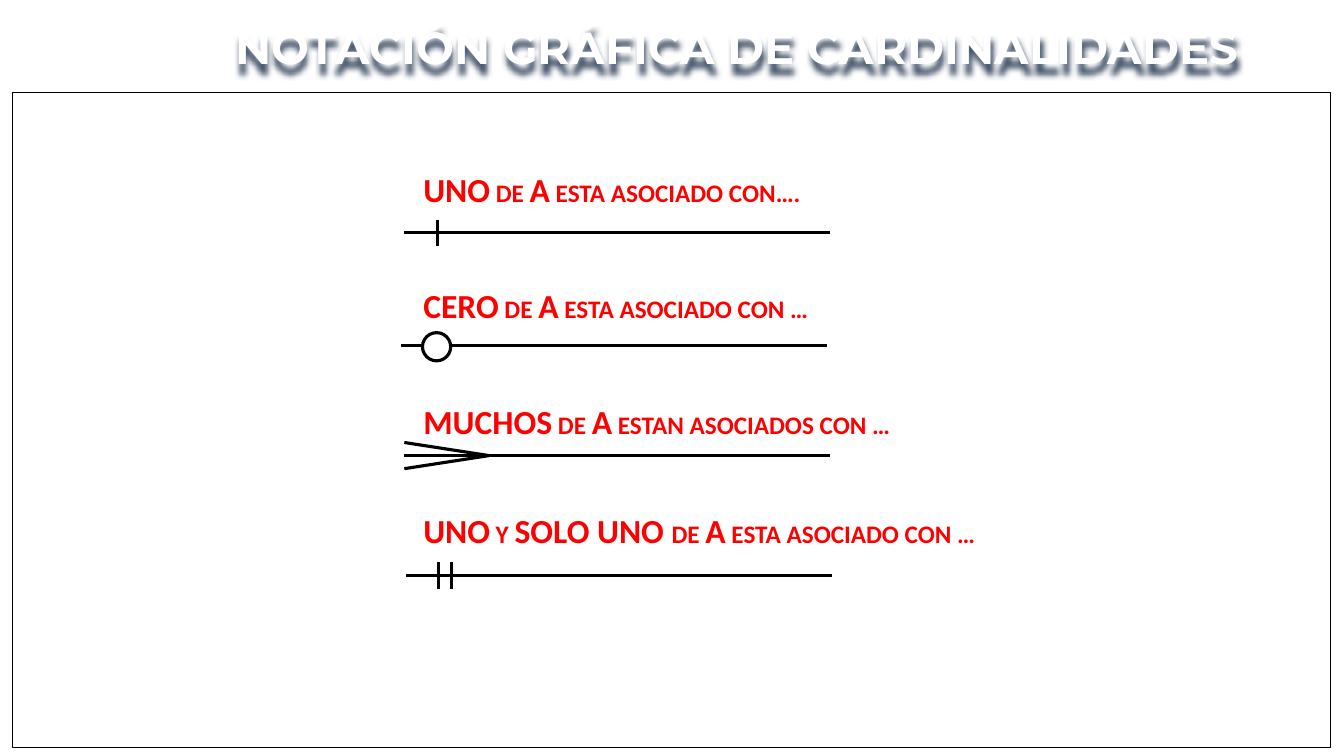
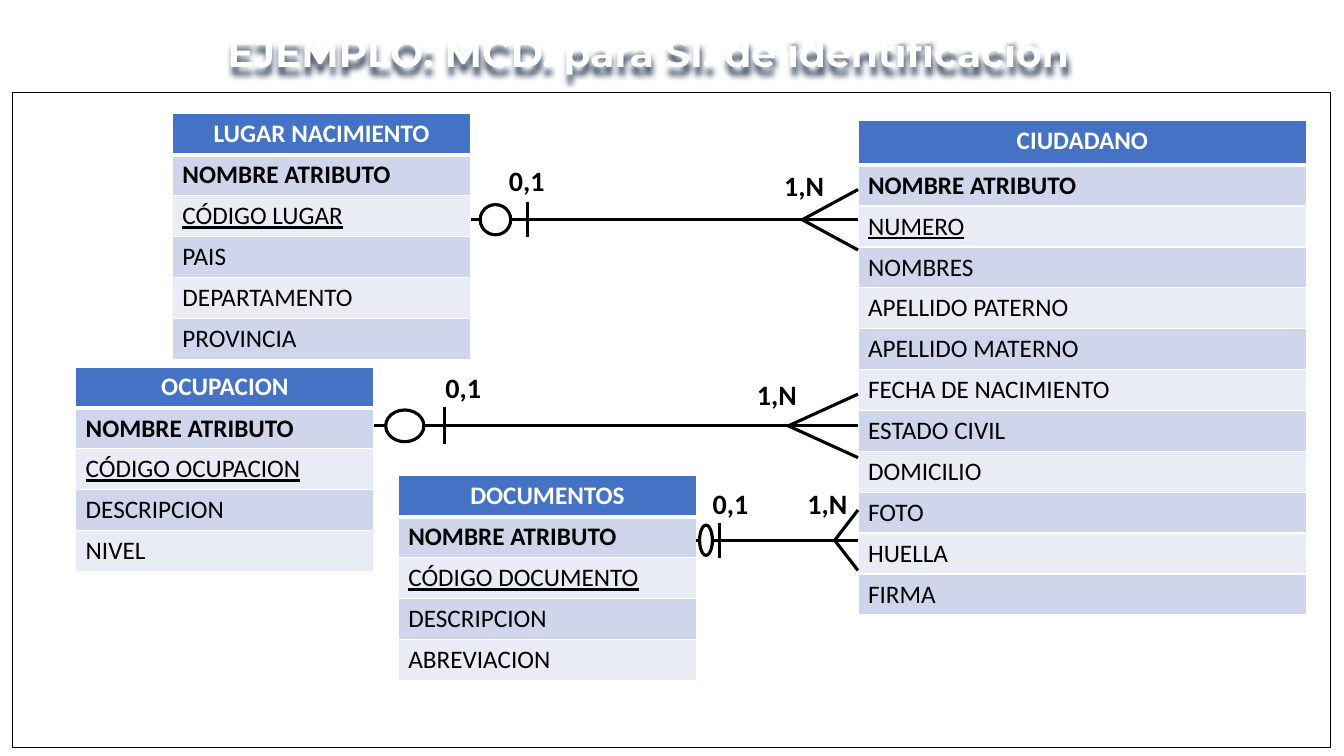
from dataclasses import dataclass

from lxml import etree
from pptx import Presentation
from pptx.dml.color import RGBColor
from pptx.enum.shapes import MSO_CONNECTOR, MSO_SHAPE
from pptx.enum.text import MSO_ANCHOR, MSO_AUTO_SIZE, PP_ALIGN
from pptx.oxml import parse_xml
from pptx.oxml.ns import nsdecls, qn
from pptx.util import Inches, Pt

STRAIGHT = MSO_CONNECTOR.STRAIGHT
OVAL, RECTANGLE = MSO_SHAPE.OVAL, MSO_SHAPE.RECTANGLE
LEFT, CENTER = PP_ALIGN.LEFT, PP_ALIGN.CENTER
TOP = MSO_ANCHOR.TOP
GROW, FIXED = MSO_AUTO_SIZE.SHAPE_TO_FIT_TEXT, MSO_AUTO_SIZE.NONE
TITLE_ONLY = 5


@dataclass(frozen=True)
class Theme:
    """Colours, fonts and sizes shared by the slides."""
    white: str = "FFFFFF"
    black: str = "000000"
    red: str = "FF0000"
    header: str = "4472C4"
    bands: tuple = ("CFD5EA", "E9EBF5")
    shadow: str = "44546A"
    title_font: str = "Montserrat"
    body_font: str = "Calibri"
    large: int = 24
    label: int = 20
    body: int = 18
    stroke: float = 2.25
    hairline: float = 0.75
    row: float = 29.2


THEME = Theme()

NOTATIONS = [
    dict(top=1.63, left=4.01, line=2.31, width=3.98, ticks=(0.33,),
         words=["UNO", " DE ", "A", " ESTA ASOCIADO CON…."]),
    dict(top=2.78, left=3.98, line=3.43, width=4.06, ring=True,
         words=["CERO", " DE ", "A", " ESTA ASOCIADO CON …"]),
    dict(top=3.93, left=4.01, line=4.52, width=4.88, fork=True,
         words=["MUCHOS", " DE ", "A", " ESTAN ASOCIADOS CON …"]),
    dict(top=5.01, left=4.03, line=5.71, width=5.8, ticks=(0.32, 0.45),
         words=["UNO", " Y ", "SOLO UNO ", "DE ", "A", " ESTA ASOCIADO CON …"]),
]

ENTITIES = [
    ((1.71, 1.13, 2.96, 2.43), "LUGAR NACIMIENTO",
     ["CÓDIGO LUGAR", "PAIS", "DEPARTAMENTO", "PROVINCIA"]),
    ((0.75, 3.64, 2.96, 2.03), "OCUPACION",
     ["CÓDIGO OCUPACION", "DESCRIPCION", "NIVEL"]),
    ((3.95, 4.72, 2.96, 2.03), "DOCUMENTOS",
     ["CÓDIGO DOCUMENTO", "DESCRIPCION", "ABREVIACION"]),
    ((8.51, 1.19, 4.45, 4.91), "CIUDADANO",
     ["NUMERO", "NOMBRES", "APELLIDO PATERNO", "APELLIDO MATERNO",
      "FECHA DE NACIMIENTO", "ESTADO CIVIL", "DOMICILIO", "FOTO", "HUELLA", "FIRMA"]),
]

RELATIONS = [
    ((4.67, 1.88, 3.84, 0.6), (0.28, -0.31), (-0.83, -0.26)),
    ((3.71, 3.91, 4.8, 0.63), (0.61, -0.28), (-1.1, -0.21)),
    ((6.9, 5.06, 1.61, 0.6), (0.07, -0.28), (-0.6, -0.28)),
]


def inches(*lengths):
    """Turn lengths in inches into drawing units."""
    return [Inches(length) for length in lengths]


def color(code):
    """Turn a hexadecimal code into a colour."""
    return RGBColor.from_string(code)


def add_span(para, text, size, code, font=THEME.body_font, bold=True, underline=False):
    """Append one formatted run to a paragraph."""
    span = para.add_run()
    span.text = text
    span.font.name, span.font.size = font, Pt(size)
    span.font.bold, span.font.underline = bold, underline
    span.font.color.rgb = color(code)


def add_stroke(shapes, start, end):
    """Draw a straight black line between two points."""
    line = shapes.add_connector(STRAIGHT, *inches(*start, *end))
    line.line.color.rgb = color(THEME.black)
    line.line.width = Pt(THEME.stroke)
    etree.SubElement(line._element.spPr, qn("a:effectLst"))


def add_outlined(shapes, kind, box, width):
    """Draw a white shape with a black outline."""
    shape = shapes.add_shape(kind, *inches(*box))
    shape.shadow.inherit = False
    shape.fill.solid()
    shape.fill.fore_color.rgb = color(THEME.white)
    shape.line.color.rgb = color(THEME.black)
    shape.line.width = Pt(width)
    return shape


def add_label(page, box, spans, code):
    """Place a one-line text box made of (text, size) spans."""
    frame = page.shapes.add_textbox(*inches(*box)).text_frame
    frame.word_wrap = False
    frame.auto_size = GROW
    for text, size in spans:
        add_span(frame.paragraphs[0], text, size, code)


def add_frame(page):
    """Put the content frame on the layout that the slides share."""
    frame = add_outlined(page.shapes, RECTANGLE, (0.12, 0.92, 13.08, 6.5), THEME.hairline)
    page.slide_layout.shapes._spTree.insert(2, frame._element)


def add_title(page, box, text, size, spacing):
    """Fill the title placeholder with white shadowed lettering."""
    title = page.shapes.title
    title.left, title.top, title.width, title.height = inches(*box)
    title.fill.background()
    title._element.spPr.append(parse_xml(
        f'<a:effectLst {nsdecls("a")}><a:outerShdw blurRad="50800" dist="63500" '
        f'dir="5400000" algn="t" rotWithShape="0"><a:srgbClr val="{THEME.shadow}"/>'
        '</a:outerShdw></a:effectLst>'))
    frame = title.text_frame
    frame.margin_left = frame.margin_top = frame.margin_right = frame.margin_bottom = 0
    frame.vertical_anchor = TOP
    frame.word_wrap = True
    frame.auto_size = FIXED
    para = frame.paragraphs[0]
    para.alignment = CENTER
    para.line_spacing = Pt(spacing)
    add_span(para, text, size, THEME.white, THEME.title_font)


def add_notation(page, top, left, line, width, words, ticks=(), ring=False, fork=False):
    """Draw one cardinality symbol below its caption."""
    reach, tip = 0.13, 0.84
    add_stroke(page.shapes, (left, line), (left + 4.22, line))
    for tick in ticks:
        add_stroke(page.shapes, (left + tick, line - reach), (left + tick, line + reach))
    if fork:
        for side in (-reach, reach):
            add_stroke(page.shapes, (left + tip, line), (left, line + side))
    if ring:
        add_outlined(page.shapes, OVAL, (left + 0.21, line - reach, 0.28, 0.28), THEME.stroke)
    spans = [(word, THEME.body if index % 2 else THEME.large)
             for index, word in enumerate(words)]
    add_label(page, (4.1, top, width, 0.5), spans, THEME.red)


def style_cell(cell, text, row):
    """Fill, border and letter one entity cell according to its row."""
    header = row == 0
    cell.fill.solid()
    cell.fill.fore_color.rgb = color(THEME.header if header else THEME.bands[(row - 1) % 2])
    properties = cell._tc.get_or_add_tcPr()
    for index, side in enumerate("LRTB"):
        heavy = (header and side == "B") or (row == 1 and side == "T")
        properties.insert(index, parse_xml(
            f'<a:ln{side} {nsdecls("a")} w="{Pt(3 if heavy else 1)}"><a:solidFill>'
            f'<a:srgbClr val="{THEME.white}"/></a:solidFill></a:ln{side}>'))
    para = cell.text_frame.paragraphs[0]
    para.alignment = CENTER if header else LEFT
    add_span(para, text, THEME.body, THEME.white if header else THEME.black,
             bold=row < 2, underline=row == 2)


def add_entity(page, box, name, attributes):
    """Draw an entity table with its name, subheading and attributes."""
    texts = [name, "NOMBRE ATRIBUTO", *attributes]
    table = page.shapes.add_table(len(texts), 1, *inches(*box)).table
    for row, text in enumerate(texts):
        table.rows[row].height = Pt(THEME.row)
        style_cell(table.cell(row, 0), text, row)
    table.rows[0].height = Inches(box[3]) - Pt(THEME.row) * (len(texts) - 1)


def add_relation(page, box, start_label, end_label):
    """Draw a zero-or-one to many link across its box, with both labels."""
    left, top, width, height = box
    right, middle = left + width, top + height / 2
    tick, tip = left + 0.146 * width, right - 0.144 * width
    shapes = page.shapes.add_group_shape().shapes
    add_stroke(shapes, (left, middle), (right, middle))
    for end in (top, top + height):
        add_stroke(shapes, (tip, middle), (right, end))
    add_outlined(shapes, OVAL, (left + 0.024 * width, middle - height / 4,
                                0.079 * width, height / 2), THEME.stroke)
    add_stroke(shapes, (tick, middle - 0.29 * height), (tick, middle + 0.29 * height))
    for text, edge, (across, down), size in (("0,1", left, start_label, 0.56),
                                             ("1,N", right, end_label, 0.6)):
        add_label(page, (edge + across, top + down, size, 0.44),
                  [(text, THEME.label)], THEME.black)


def build_notation_page(page):
    """Compose the slide that lists the cardinality symbols."""
    add_title(page, (1.43, 0.26, 11.76, 0.48), "NOTACIÓN GRÁFICA DE CARDINALIDADES", 32, 34)
    for notation in NOTATIONS:
        add_notation(page, **notation)


def build_example_page(page):
    """Compose the slide with the example data model."""
    add_title(page, (0.28, 0.26, 12.3, 0.46), "EJEMPLO: MCD. para SI. de identificación", 28, 35)
    for entity in ENTITIES:
        add_entity(page, *entity)
    for relation in RELATIONS:
        add_relation(page, *relation)


def main():
    """Build and save the deck."""
    deck = Presentation()
    deck.slide_width, deck.slide_height = inches(13.33, 7.5)
    layout = deck.slide_layouts[TITLE_ONLY]
    pages = [deck.slides.add_slide(layout) for _ in range(2)]
    add_frame(pages[0])
    build_notation_page(pages[0])
    build_example_page(pages[1])
    deck.save("out.pptx")


if __name__ == "__main__":
    main()
